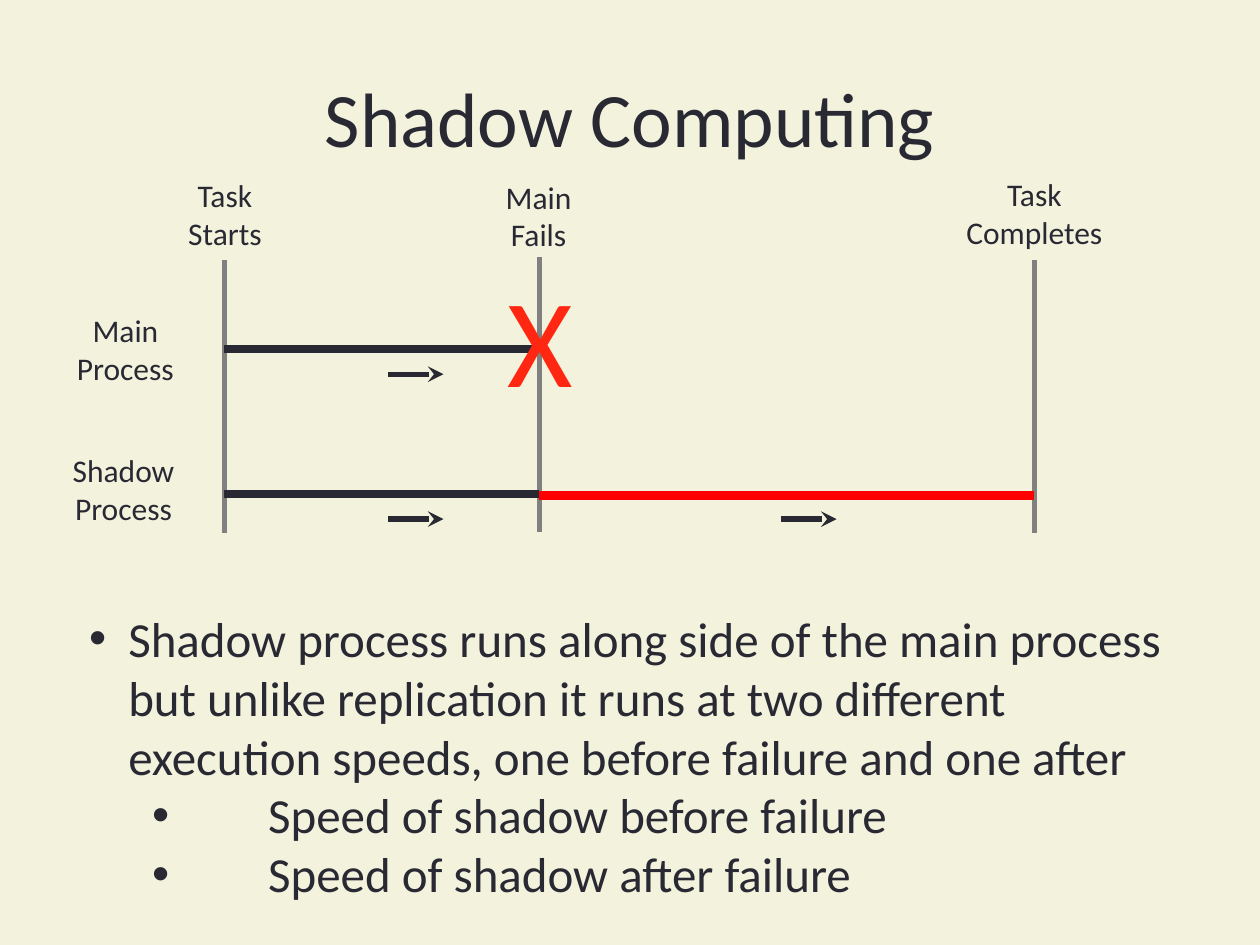
from lxml import etree
from pptx import Presentation
from pptx.dml.color import RGBColor
from pptx.enum import shapes, text
from pptx.oxml.ns import qn
from pptx.util import Inches, Pt

COLORS = {"paper": "F3F2DC", "ink": "292934", "marker": "808080",
          "after": "FF0000", "failure": "FF2712"}
FONT = "Calibri"

# Content
TITLE = "Shadow Computing"
START, FAIL, END = 1.78, 4.28, 8.21
MAIN, SHADOW = 2.77, 3.92
MARKERS = [(END, 2.06, 4.23), (START, 2.06, 4.23), (FAIL, 2.04, 4.22)]
RUNS = [(START, FAIL, MAIN, "ink"), (FAIL, END, SHADOW + 0.01, "after"),
        (START, FAIL, SHADOW, "ink")]
ARROWS = [(3.08, MAIN), (3.08, SHADOW), (6.2, SHADOW)]
ARROW_LENGTH, ARROW_DROP = 0.44, 0.2
LABELS = [
    (("Main", "Process"), 0.5, 2.42, 0.99),
    (("Shadow", "Process"), 0.47, 3.53, 1.02),
    (("Task", "Starts"), 1.39, 1.35, 0.79),
    (("Main", "Fails"), 3.91, 1.36, 0.73),
    (("Task", "Completes"), 7.56, 1.34, 1.3),
]
# Each bullet: text, level, left margin, hanging indent
BULLETS = [
    ("Shadow process runs along side of the main process but unlike replication "
     "it runs at two different execution speeds, one before failure and one after",
     0, 0.31, 0.31),
    ("Speed of shadow before failure", 1, 1.42, 0.92),
    ("Speed of shadow after failure", 1, 1.42, 0.92),
]


def rgb(name):
    return RGBColor.from_string(COLORS[name])


def write(para, words, size=18, color="ink", align=None):
    span = para.add_run()
    span.text = words
    span.font.name = FONT
    span.font.size = Pt(size)
    span.font.color.rgb = rgb(color)
    para.alignment = align


def add_bullet(para, margin, hang):
    props = para._p.get_or_add_pPr()
    props.set("marL", str(Inches(margin)))
    props.set("indent", str(-Inches(hang)))
    etree.SubElement(props, qn("a:buFont"), typeface="Arial")
    etree.SubElement(props, qn("a:buChar"), char="•")


def add_frame(slide, left, top, width, height, wrap=False):
    box = slide.shapes.add_textbox(*map(Inches, (left, top, width, height)))
    frame = box.text_frame
    frame.word_wrap = wrap
    frame.auto_size = text.MSO_AUTO_SIZE.SHAPE_TO_FIT_TEXT
    return frame


def next_para(frame, index):
    return frame.add_paragraph() if index else frame.paragraphs[0]


def add_line(slide, begin, end, color, width, arrow=False):
    line = slide.shapes.add_connector(
        shapes.MSO_CONNECTOR.STRAIGHT, *map(Inches, begin + end))
    line.line.color.rgb = rgb(color)
    line.line.width = Pt(width)
    if arrow:
        etree.SubElement(line.line._get_or_add_ln(), qn("a:headEnd"), type="stealth")
    etree.SubElement(line._element.spPr, qn("a:effectLst"))


def main():
    deck = Presentation()
    deck.slide_width, deck.slide_height = Inches(10), Inches(7.5)
    slide = deck.slides.add_slide(deck.slide_layouts[5])
    slide.background.fill.solid()
    slide.background.fill.fore_color.rgb = rgb("paper")

    # Title
    title = slide.shapes.title
    title.left, title.top, title.width, title.height = map(Inches, (0.5, 0.3, 9, 1.25))
    title.text_frame.vertical_anchor = text.MSO_ANCHOR.MIDDLE
    write(title.text_frame.paragraphs[0], TITLE, size=44, align=text.PP_ALIGN.CENTER)

    # Timeline
    for x, top, bottom in MARKERS:
        add_line(slide, (x, bottom), (x, top), "marker", 3)
    for left, right, y, color in RUNS:
        add_line(slide, (left, y), (right, y), color, 5)
    for left, row in ARROWS:
        y = row + ARROW_DROP
        add_line(slide, (left + ARROW_LENGTH, y), (left, y), "ink", 3, arrow=True)

    # Failure mark
    frame = add_frame(slide, 4.03, 2.07, 0.52, 1.21)
    frame.margin_left = frame.margin_right = frame.margin_top = frame.margin_bottom = 0
    frame.vertical_anchor = text.MSO_ANCHOR.MIDDLE
    write(frame.paragraphs[0], "X", size=72, color="failure")

    # Labels
    for lines, left, top, width in LABELS:
        frame = add_frame(slide, left, top, width, 0.71)
        for index, words in enumerate(lines):
            write(next_para(frame, index), words, align=text.PP_ALIGN.CENTER)

    # Explanation
    frame = add_frame(slide, 0.61, 4.78, 8.89, 2.46, wrap=True)
    for index, (words, level, margin, hang) in enumerate(BULLETS):
        para = next_para(frame, index)
        add_bullet(para, margin, hang)
        para.level = level
        write(para, words, size=28)

    deck.save("out.pptx")


if __name__ == "__main__":
    main()
